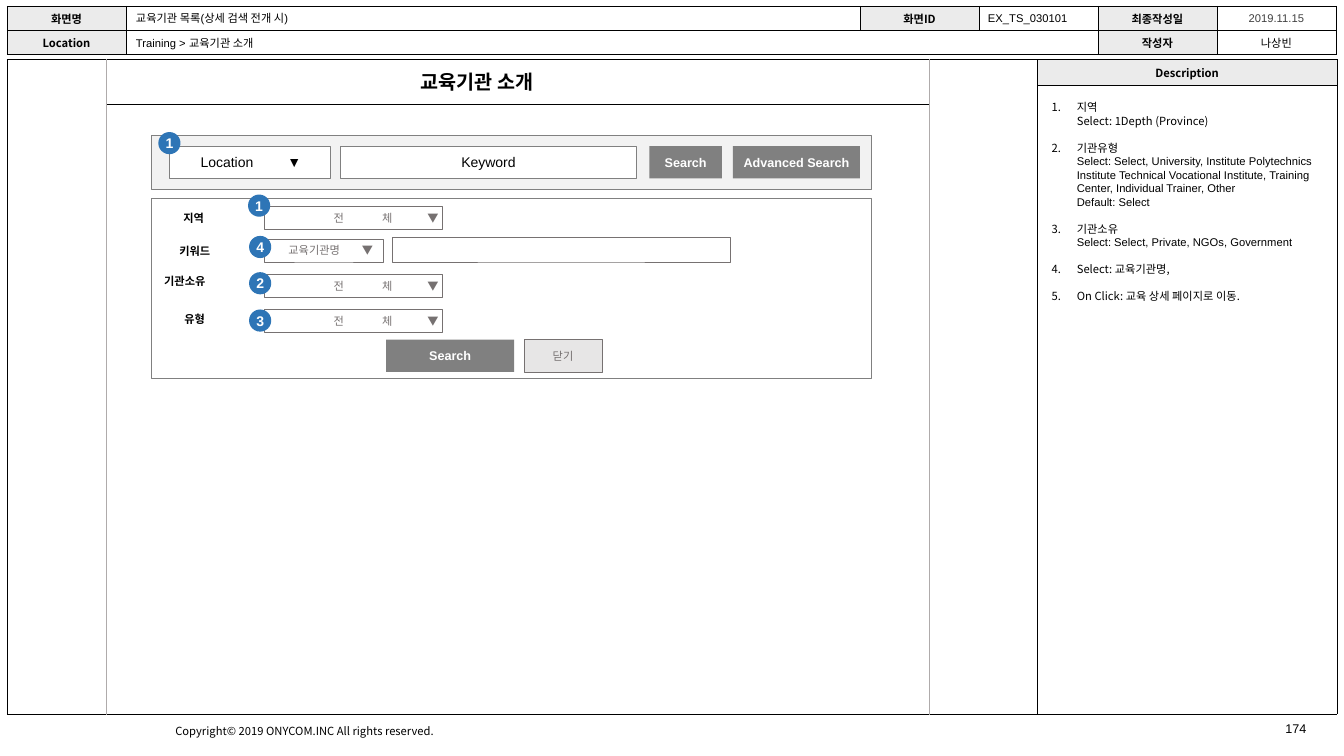
from dataclasses import dataclass

from lxml import etree
from pptx import Presentation
from pptx import util as u
from pptx.dml.color import RGBColor
from pptx.enum import shapes, text
from pptx.oxml.ns import qn

LEFT, CENTER = text.PP_ALIGN.LEFT, text.PP_ALIGN.CENTER


@dataclass(frozen=True)
class Theme:
    sans: str = "Arial"
    korean: str = "Noto Sans CJK KR"
    black: str = "000000"
    white: str = "FFFFFF"
    head: str = "EBEBEB"
    panel: str = "F2F2F2"
    button: str = "808080"
    pale: str = "E7E6E6"
    muted: str = "767171"
    date: str = "404040"
    badge: str = "2E75B6"
    frame: str = "AFABAB"
    rule: str = "D0CECE"
    small: int = 8
    medium: int = 9
    normal: int = 10
    title: int = 14


T = Theme()


def px(n):
    """Turn px, 100 to the inch, into EMU."""
    return u.Emu(n * 9144)


def rgb(color):
    return RGBColor.from_string(color)


class Screen:
    def __init__(self, prs):
        self.s = prs.slides.add_slide(prs.slide_layouts[6])

    def style(self, p, size=T.small, color=T.black, bold=False, font=T.sans, align=LEFT, tabs=()):
        p.alignment = align
        if tabs:
            stops = etree.SubElement(p._p.get_or_add_pPr(), qn("a:tabLst"))
            for stop in tabs:
                etree.SubElement(stops, qn("a:tab"), pos=str(px(stop)), algn="l")
        p.font.size = u.Pt(size)
        p.font.bold = bold
        p.font.color.rgb = rgb(color)
        p.font.name = font
        props = p._p.pPr.find(qn("a:defRPr"))
        etree.SubElement(props, qn("a:ea"), typeface=T.korean)

    def label(self, x, y, w, h, words, wrap=True, **style):
        tf = self.s.shapes.add_textbox(px(x), px(y), px(w), px(h)).text_frame
        tf.word_wrap = wrap
        p = tf.paragraphs[0]
        p.text = words
        self.style(p, **style)

    def box(self, x, y, w, h, words="", fill=T.white, line=None, weight=0.5,
            inset=0, kind=shapes.MSO_SHAPE.RECTANGLE, align=CENTER, **style):
        sp = self.s.shapes.add_shape(kind, px(x), px(y), px(w), px(h))
        sp.shadow.inherit = False
        sp.fill.solid()
        sp.fill.fore_color.rgb = rgb(fill)
        if line:
            sp.line.color.rgb = rgb(line)
            sp.line.width = u.Pt(weight)
        else:
            sp.line.fill.background()
        if words:
            tf = sp.text_frame
            tf.margin_left = px(inset)
            tf.margin_right = tf.margin_top = tf.margin_bottom = 0
            tf.vertical_anchor = text.MSO_ANCHOR.MIDDLE
            p = tf.paragraphs[0]
            p.text = words
            self.style(p, align=align, **style)

    def button(self, x, y, w, words):
        self.box(x, y, w, 32, words, fill=T.button, size=T.medium, color=T.white, bold=True)

    def badge(self, x, y, number):
        self.box(x, y, 22, 22, str(number), fill=T.badge, kind=shapes.MSO_SHAPE.OVAL,
                 size=T.normal, color=T.white, bold=True)

    def dropdown(self, x, y, w, words, inset, tabs):
        self.box(x, y, w, 23, words, line=T.muted, inset=inset, tabs=tabs,
                 align=LEFT, color=T.muted, font=T.korean)

    def line(self, x1, y1, x2, y2, color, weight):
        c = self.s.shapes.add_connector(shapes.MSO_CONNECTOR.STRAIGHT, px(x1), px(y1), px(x2), px(y2))
        c.line.color.rgb = rgb(color)
        c.line.width = u.Pt(weight)
        etree.SubElement(c._element.spPr, qn("a:effectLst"))

    def table(self, x, y, cols, rows):
        """Add a table of empty white cells with thin black borders."""
        shape = self.s.shapes.add_table(len(rows), len(cols), px(x), px(y), px(sum(cols)), px(sum(rows)))
        table = shape.table
        table.first_row = table.horz_banding = False
        for col, w in zip(table.columns, cols):
            col.width = px(w)
        for row, h in zip(table.rows, rows):
            row.height = px(h)
        for cell in table.iter_cells():
            props = cell._tc.get_or_add_tcPr()
            for side in ("lnL", "lnR", "lnT", "lnB"):
                ln = etree.SubElement(props, qn("a:" + side), w=str(u.Pt(0.25)))
                fill = etree.SubElement(ln, qn("a:solidFill"))
                etree.SubElement(fill, qn("a:srgbClr"), val=T.black)
            cell.fill.solid()
            cell.fill.fore_color.rgb = rgb(T.white)
            cell.margin_left = cell.margin_right = px(1)
            cell.margin_top = cell.margin_bottom = px(1)
            cell.vertical_anchor = text.MSO_ANCHOR.MIDDLE
            cell.text_frame.paragraphs[0]._p.get_or_add_endParaRPr().set("sz", str(T.small * 100))
        return table

    def cell(self, cell, words, fill=T.head, bold=True, font=T.korean, color=T.black):
        cell.fill.fore_color.rgb = rgb(fill)
        p = cell.text_frame.paragraphs[0]
        p.text = words
        self.style(p, bold=bold, font=font, color=color, align=CENTER)

    def numbered(self, x, y, w, h, items):
        tf = self.s.shapes.add_textbox(px(x), px(y), px(w), px(h)).text_frame
        tf.word_wrap = True
        tf.margin_left = px(8)
        tf.margin_top = tf.margin_right = tf.margin_bottom = px(4)
        for i, (font, words) in enumerate(items):
            p = tf.add_paragraph() if i else tf.paragraphs[0]
            p.text = words
            p.line_spacing = u.Pt(9.6)
            if i:
                p.space_before = u.Pt(9.6)
            props = p._p.get_or_add_pPr()
            props.set("marL", str(px(25)))
            props.set("indent", str(px(-25)))
            etree.SubElement(props, qn("a:buFont"), typeface=T.korean)
            etree.SubElement(props, qn("a:buAutoNum"), type="arabicPeriod")
            self.style(p, font=font)


def draw_frame(scr):
    scr.line(41, 707, 1293, 707, T.rule, 0.5)
    scr.label(164, 714, 287, 24, "Copyright© 2019 ONYCOM.INC All rights reserved.", wrap=False, font=T.korean)
    body = scr.table(7, 59, [1022, 297], [25, 624])
    body.cell(0, 0).merge(body.cell(1, 0))
    scr.cell(body.cell(0, 1), "Description")

    head = scr.table(7, 6, [118, 728, 118, 118, 118, 118], [24, 24])
    head.cell(1, 1).merge(head.cell(1, 3))
    for row, col, words in ((0, 0, "화면명"), (0, 2, "화면ID"), (0, 4, "최종작성일"),
                            (1, 0, "Location"), (1, 4, "작성자")):
        scr.cell(head.cell(row, col), words)
    for row, words, color in ((0, "2019.11.15", T.date), (1, "나상빈", T.black)):
        scr.cell(head.cell(row, 5), words, T.white, False, T.sans, color)

    scr.line(105, 103, 922, 103, T.black, 0.25)
    for x in (105, 922):
        scr.line(x, 59, x, 709, T.frame, 0.5)
    scr.label(1265, 710, 56, 40, "174", size=T.medium)
    scr.label(125, 6, 381, 24, "교육기관 목록(상세 검색 전개 시)")
    scr.label(970, 6, 119, 24, "EX_TS_030101")
    scr.label(125, 31, 381, 24, "Training > 교육기관 소개")
    scr.label(407, 64, 278, 34, "교육기관 소개", size=T.title, bold=True)


def draw_search(scr):
    scr.box(150, 134, 714, 54, fill=T.panel, line=T.button, weight=0.25)
    scr.box(168, 145, 160, 32, "Location\t▼", line=T.button, weight=0.75,
            inset=31, tabs=[86], align=LEFT, size=T.normal)
    scr.box(338, 145, 293, 32, "Keyword", line=T.button, weight=0.75, size=T.normal)
    scr.button(644, 145, 72, "Search")
    scr.button(727, 145, 126, "Advanced Search")
    scr.badge(157, 131, 1)


def draw_advanced(scr):
    scr.box(150, 197, 714, 178, line=T.button)
    for x, y, words in ((172, 205, "지역"), (168, 237, "키워드"), (153, 267, "기관소유"), (173, 305, "유형")):
        scr.label(x, y, 65, 24, words, bold=True)
    for y in (205, 272, 307):
        scr.dropdown(262, y, 177, "전\t체\t▼", 69, [48, 93])
    scr.dropdown(262, 237, 118, "교육기관명\t▼", 24, [73])
    scr.box(389, 236, 335, 24, line=T.muted)
    for x, y, number in ((246, 193, 1), (247, 270, 2), (247, 307, 3), (247, 234, 4)):
        scr.badge(x, y, number)
    scr.button(383, 337, 127, "Search")
    scr.box(520, 337, 77, 32, "닫기", fill=T.pale, line=T.muted, color=T.muted)


def main():
    prs = Presentation()
    prs.slide_width, prs.slide_height = px(1333), px(750)
    scr = Screen(prs)
    draw_frame(scr)
    scr.numbered(1035, 96, 285, 237, [
        (T.korean, "지역\vSelect: 1Depth (Province)"),
        (T.sans, "기관유형\vSelect: Select, University, Institute Polytechnics Institute Technical "
                 "Vocational Institute, Training Center, Individual Trainer, Other\vDefault: Select"),
        (T.sans, "기관소유\vSelect: Select, Private, NGOs, Government"),
        (T.korean, "Select: 교육기관명,"),
        (T.korean, "On Click: 교육 상세 페이지로 이동."),
    ])
    draw_search(scr)
    draw_advanced(scr)
    prs.save("out.pptx")


if __name__ == "__main__":
    main()
